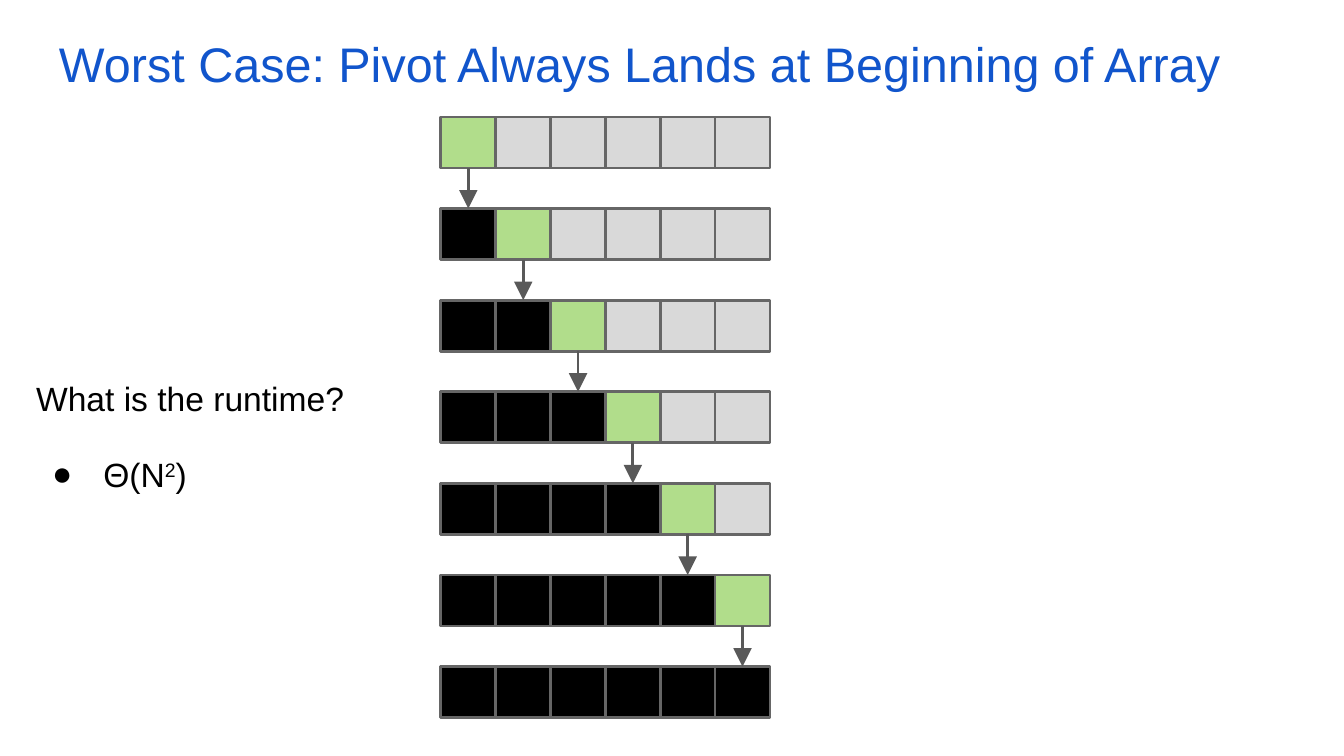
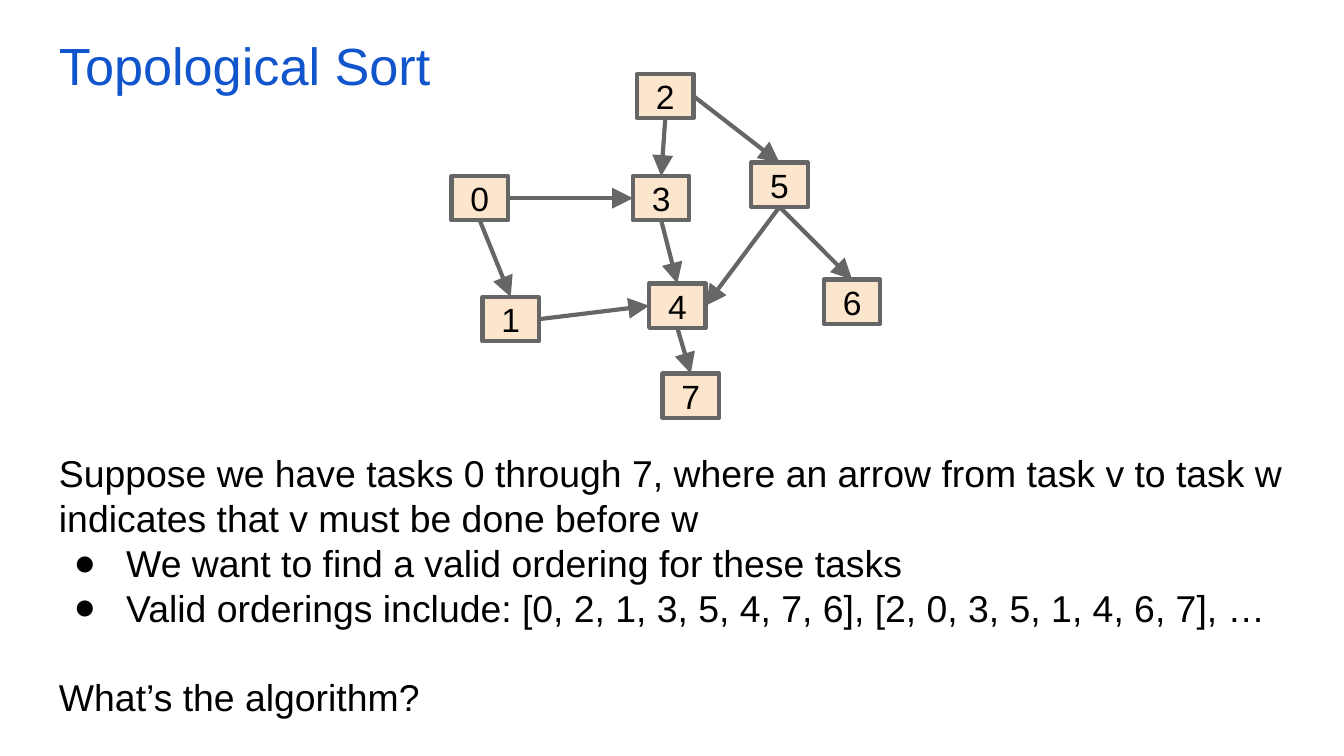
from dataclasses import dataclass
from enum import IntEnum

from lxml.etree import SubElement
from pptx import Presentation
from pptx.dml.color import RGBColor
from pptx.enum.shapes import MSO_CONNECTOR, MSO_SHAPE
from pptx.enum.text import MSO_ANCHOR, PP_ALIGN
from pptx.oxml.ns import qn
from pptx.shapes.autoshape import Shape
from pptx.shapes.connector import Connector
from pptx.slide import Slide
from pptx.text.text import TextFrame
from pptx.util import Inches, Pt

FONT = "Arial"
BLUE, BLACK, WHITE = "1155CC", "000000", "FFFFFF"
GREEN, SILVER, PEACH = "B1DD8B", "D9D9D9", "FCE5CD"
GREY, DARK = "666666", "595959"
COUNT = 6


class Side(IntEnum):
    """Connection sites of a rectangle."""
    TOP = 0
    LEFT = 1
    BASE = 2
    RIGHT = 3


@dataclass
class Box:
    """Place of an element, in inches."""
    left: float
    top: float
    width: float
    height: float


@dataclass
class Para:
    """One paragraph, as runs with every second one superscript."""
    runs: list[str]
    hang: float = 0
    before: float = 0
    after: float = 0
    lead: float = 1


@dataclass
class Edge:
    """An arrow between two tasks."""
    start: int
    out: Side
    end: int
    into: Side


TITLE = Box(0.34, 0.15, 9.32, 0.63)
NODES = [(3.36, 1.31), (3.59, 2.21), (4.74, 0.55), (4.71, 1.31),
         (4.83, 2.11), (5.59, 1.21), (6.13, 2.08), (4.93, 2.78)]
EDGES = [
    Edge(0, Side.BASE, 1, Side.TOP),
    Edge(0, Side.RIGHT, 3, Side.LEFT),
    Edge(2, Side.BASE, 3, Side.TOP),
    Edge(2, Side.RIGHT, 5, Side.TOP),
    Edge(5, Side.BASE, 6, Side.TOP),
    Edge(5, Side.BASE, 4, Side.RIGHT),
    Edge(3, Side.BASE, 4, Side.TOP),
    Edge(1, Side.RIGHT, 4, Side.LEFT),
    Edge(4, Side.BASE, 7, Side.TOP),
]


def color(code: str) -> RGBColor:
    """Turn a hex string into a colour."""
    return RGBColor.from_string(code)


def place(box: Box) -> tuple[Inches, ...]:
    """Give the lengths of a box."""
    return tuple(Inches(n) for n in (box.left, box.top, box.width, box.height))


def pad(frame: TextFrame) -> None:
    """Set the same inset on all sides."""
    frame.margin_left = frame.margin_right = Inches(0.1)
    frame.margin_top = frame.margin_bottom = Inches(0.1)


def write(slide: Slide, box: Box, paras: list[Para], size: int,
          tone: str = BLACK, anchor: MSO_ANCHOR = MSO_ANCHOR.TOP) -> None:
    """Add a text box."""
    frame = slide.shapes.add_textbox(*place(box)).text_frame
    frame.word_wrap = True
    frame.vertical_anchor = anchor
    pad(frame)
    for i, para in enumerate(paras):
        line = frame.add_paragraph() if i else frame.paragraphs[0]
        line.line_spacing = para.lead
        line.space_before, line.space_after = Pt(para.before), Pt(para.after)
        if para.hang:
            props = line._p.get_or_add_pPr()
            props.set("marL", str(Inches(0.5)))
            props.set("indent", str(-Inches(para.hang)))
            SubElement(props, qn("a:buFont"), typeface=FONT)
            SubElement(props, qn("a:buChar"), char="●")
        line.font.name, line.font.size = FONT, Pt(size)
        line.font.color.rgb = color(tone)
        for j, text in enumerate(para.runs):
            run = line.add_run()
            run.text = text
            if j % 2:
                run._r.get_or_add_rPr().set("baseline", "30000")


def block(shapes, box: Box, fill: str, width: float) -> Shape:
    """Add an outlined rectangle."""
    rect = shapes.add_shape(MSO_SHAPE.RECTANGLE, *place(box))
    rect.shadow.inherit = False
    rect.fill.solid()
    rect.fill.fore_color.rgb = color(fill)
    rect.line.color.rgb = color(GREY)
    rect.line.width = Pt(width)
    return rect


def arrow(shapes, start: Shape, out: Side, end: Shape, into: Side,
          tone: str, width: float) -> Connector:
    """Join two shapes with an arrow."""
    link = shapes.add_connector(MSO_CONNECTOR.STRAIGHT, 0, 0, 0, 0)
    link.begin_connect(start, out)
    link.end_connect(end, into)
    link.line.color.rgb = color(tone)
    link.line.width = Pt(width)
    props = link._element.spPr
    SubElement(props.find(qn("a:ln")), qn("a:tailEnd"),
               type="triangle", w="lg", len="lg")
    SubElement(props, qn("a:effectLst"))
    return link


def start(deck: Presentation, title: str, size: int) -> Slide:
    """Add a white slide with its title."""
    slide = deck.slides.add_slide(deck.slide_layouts[6])
    slide.background.fill.solid()
    slide.background.fill.fore_color.rgb = color(WHITE)
    write(slide, TITLE, [Para([title])], size, BLUE)
    return slide


def pivot(deck: Presentation) -> None:
    """Build the worst case slide."""
    slide = start(deck, "Worst Case: Pivot Always Lands at Beginning of Array", 26)
    left, top = 3.28, 0.87
    step, drop = (5.32 - left) / (COUNT - 1), (4.96 - top) / COUNT
    rows = []
    for i in range(COUNT + 1):
        group = slide.shapes.add_group_shape().shapes
        rows.append([
            block(group, Box(left + j * step, top + i * drop, 0.41, 0.38),
                  BLACK if j < i else GREEN if j == i else SILVER, 1.5)
            for j in range(COUNT)])
    for i in range(COUNT):
        arrow(slide.shapes, rows[i][i], Side.BASE, rows[i + 1][i], Side.TOP,
              DARK, 1.5)
    write(slide, Box(0.17, 1.58, 3.28, 3.28), [
        Para(["What is the runtime?"], after=16, lead=1.15),
        Para(["Θ(N", "2", ")"], hang=0.38, after=16, lead=1.15),
    ], 18, anchor=MSO_ANCHOR.MIDDLE)


def topo(deck: Presentation) -> None:
    """Build the task graph slide."""
    slide = start(deck, "Topological Sort", 28)
    group = slide.shapes.add_group_shape().shapes
    tasks = []
    for i, (left, top) in enumerate(NODES):
        task = block(group, Box(left, top, 0.42, 0.33), PEACH, 2.25)
        frame = task.text_frame
        frame.vertical_anchor = MSO_ANCHOR.MIDDLE
        pad(frame)
        line = frame.paragraphs[0]
        line.alignment = PP_ALIGN.CENTER
        line.font.name, line.font.size = FONT, Pt(18)
        line.font.color.rgb = color(BLACK)
        line.add_run().text = str(i)
        tasks.append(task)
    for edge in EDGES:
        arrow(group, tasks[edge.start], edge.out, tasks[edge.end], edge.into,
              GREY, 2.25)
    write(slide, Box(0.34, 3.25, 9.32, 1.71), [
        Para(["Suppose we have tasks 0 through 7, where an arrow from task v "
              "to task w indicates that v must be done before w"]),
        Para(["We want to find a valid ordering for these tasks"], hang=0.39),
        Para(["Valid orderings include: [0, 2, 1, 3, 5, 4, 7, 6], "
              "[2, 0, 3, 5, 1, 4, 6, 7], …"], hang=0.39),
        Para(["What’s the algorithm?"], before=24),
    ], 20)


def main() -> None:
    """Build and save the deck."""
    deck = Presentation()
    deck.slide_width = Inches(10)
    deck.slide_height = deck.slide_width * 9 // 16
    pivot(deck)
    topo(deck)
    deck.save("out.pptx")


if __name__ == "__main__":
    main()
